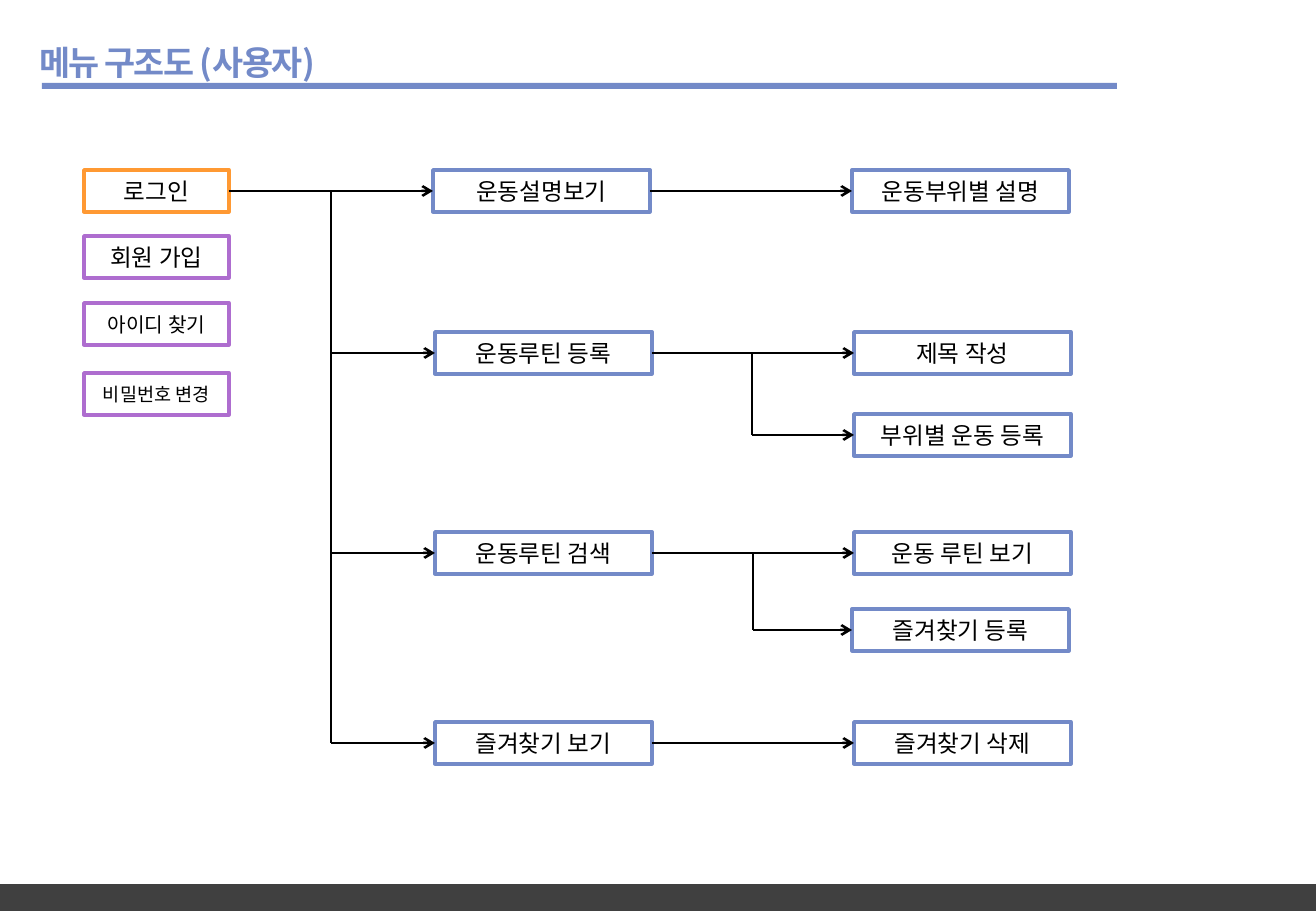
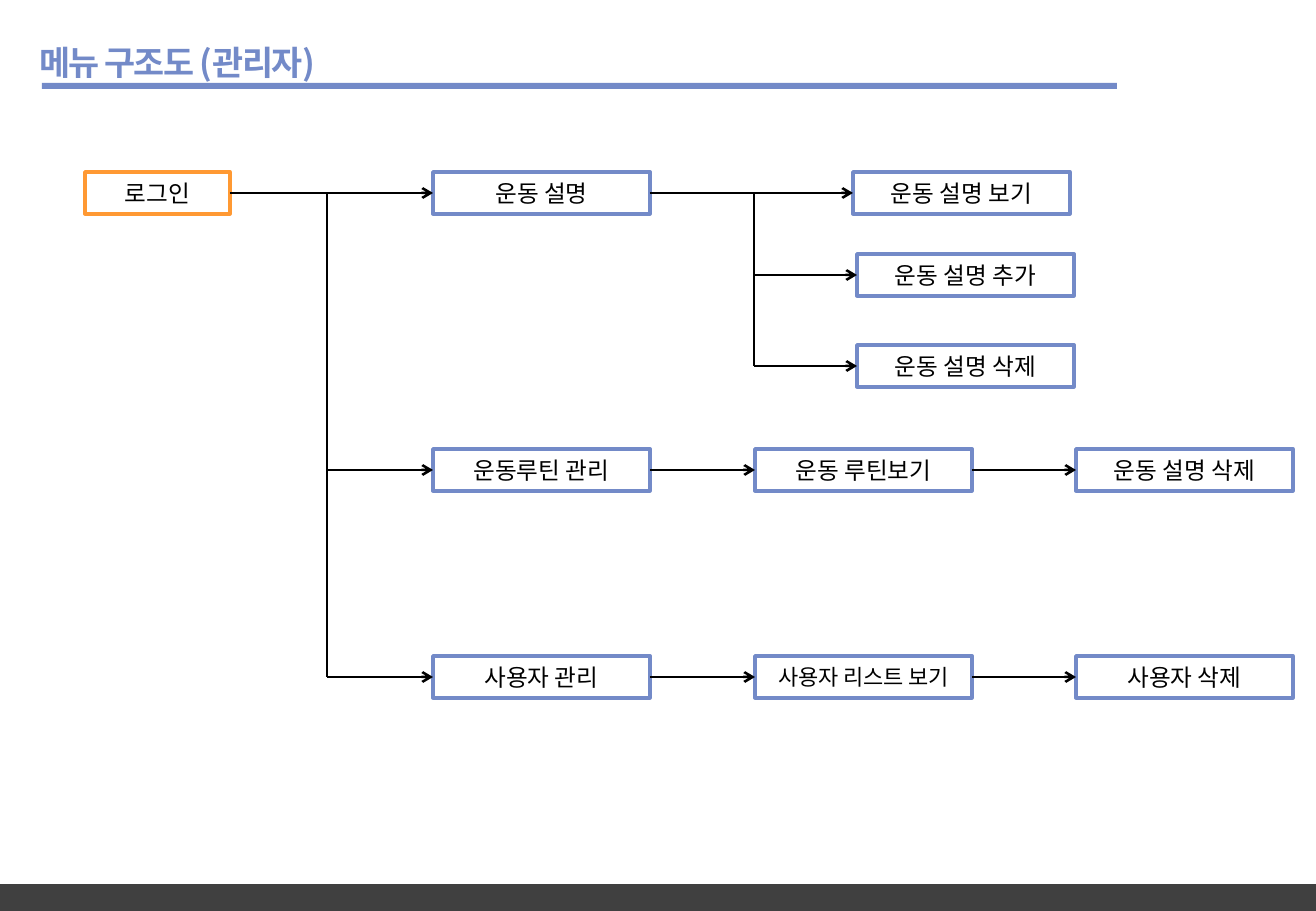
from pptx import Presentation
from pptx import util as u
from pptx.dml.color import RGBColor
from pptx.enum import shapes, text
from pptx.oxml.ns import qn
from lxml import etree

PX = 7526  # EMU per px
FONT = "Noto Sans CJK KR"
BLUE = RGBColor(0x73, 0x8A, 0xC8)
ORANGE = RGBColor(0xFF, 0x99, 0x33)
PURPLE = RGBColor(0xAE, 0x6D, 0xCF)
DARK = RGBColor(0x40, 0x40, 0x40)
BLACK = RGBColor(0, 0, 0)

# Box styles: line colour, width
LOGIN, ACCOUNT, MENU = (ORANGE, 145), (PURPLE, 145), (BLUE, 217)
BOX_H = 42
MID = BOX_H // 2

# Each row: top, x of the trunk feeding it, boxes (x, text, size, style)
# Each trunk: x, top of its first row, top of its last row
SLIDES = [
    ("메뉴 구조도 (사용자)", [
        (170, None, [(84, "로그인", 14, LOGIN), (433, "운동설명보기", 14, MENU),
                     (852, "운동부위별 설명", 14, MENU)]),
        (236, None, [(84, "회원 가입", 14, ACCOUNT)]),
        (303, None, [(84, "아이디 찾기", 12, ACCOUNT)]),
        (373, None, [(84, "비밀번호 변경", 11, ACCOUNT)]),
        (332, 331, [(435, "운동루틴 등록", 14, MENU), (854, "제목 작성", 14, MENU)]),
        (414, 752, [(854, "부위별 운동 등록", 14, MENU)]),
        (532, 331, [(435, "운동루틴 검색", 14, MENU), (854, "운동 루틴 보기", 14, MENU)]),
        (609, 753, [(852, "즐겨찾기 등록", 14, MENU)]),
        (722, 331, [(435, "즐겨찾기 보기", 14, MENU), (854, "즐겨찾기 삭제", 14, MENU)]),
    ], [(331, 170, 722), (752, 332, 414), (753, 532, 609)]),
    ("메뉴 구조도 (관리자)", [
        (172, None, [(85, "로그인", 14, LOGIN), (433, "운동 설명", 14, MENU),
                     (853, "운동 설명 보기", 14, MENU)]),
        (254, 754, [(857, "운동 설명 추가", 14, MENU)]),
        (345, 754, [(857, "운동 설명 삭제", 14, MENU)]),
        (449, 327, [(433, "운동루틴 관리", 14, MENU), (755, "운동 루틴보기", 14, MENU),
                    (1076, "운동 설명 삭제", 14, MENU)]),
        (656, 327, [(433, "사용자 관리", 14, MENU), (755, "사용자 리스트 보기", 13, MENU),
                    (1076, "사용자 삭제", 14, MENU)]),
    ], [(327, 172, 656), (754, 172, 345)]),
]


def add_rect(s, x, y, w, h, fill=None, line=None):
    sp = s.shapes.add_shape(shapes.MSO_SHAPE.RECTANGLE, x * PX, y * PX, w * PX, h * PX)
    sp.shadow.inherit = False
    if fill is None:
        sp.fill.background()
    else:
        sp.fill.solid()
        sp.fill.fore_color.rgb = fill
    if line is None:
        sp.line.fill.background()
    else:
        sp.line.color.rgb = line
        sp.line.width = u.Pt(2)
    return sp


def add_line(s, x1, y1, x2, y2, arrow=True):
    c = s.shapes.add_connector(shapes.MSO_CONNECTOR.STRAIGHT,
                               x1 * PX, y1 * PX, x2 * PX, y2 * PX)
    c.line.color.rgb = BLACK
    c.line.width = u.Pt(1.5)
    if arrow:
        etree.SubElement(c.line._get_or_add_ln(), qn("a:tailEnd"), type="arrow")
    etree.SubElement(c._element.spPr, qn("a:effectLst"))
    return c


prs = Presentation()
prs.slide_width, prs.slide_height = 1316 * PX, 911 * PX

for title, rows, trunks in SLIDES:
    s = prs.slides.add_slide(prs.slide_layouts[5])

    # Footer band, title and rule
    add_rect(s, -4, 884, 1325, 28, fill=DARK)
    sp = s.shapes.title
    sp.left, sp.top, sp.width, sp.height = 27 * PX, 16 * PX, 654 * PX, 72 * PX
    tf = sp.text_frame
    tf.word_wrap = False
    tf.auto_size = text.MSO_AUTO_SIZE.NONE
    tf.vertical_anchor = text.MSO_ANCHOR.MIDDLE
    p = tf.paragraphs[0]
    p.alignment = text.PP_ALIGN.LEFT
    p.line_spacing = 1.5
    r = p.add_run()
    r.text = title
    r.font.size, r.font.bold, r.font.name = u.Pt(20), True, FONT
    r.font.color.rgb = BLUE
    rPr = r.font._element
    rPr.set("spc", "-100")
    etree.SubElement(rPr, qn("a:ea"), typeface=FONT)
    add_rect(s, 42, 83, 1075, 6, fill=BLUE)

    # Trunks
    for x, first, last in trunks:
        add_line(s, x, first + MID, x, last + MID, arrow=False)

    # Boxes, each joined to the one before it or to its trunk
    for y, trunk_x, boxes in rows:
        prev = None
        for x, label, size, (colour, width) in boxes:
            box = add_rect(s, x, y, width, BOX_H, line=colour)
            tf = box.text_frame
            tf.word_wrap = True
            tf.vertical_anchor = text.MSO_ANCHOR.MIDDLE
            p = tf.paragraphs[0]
            p.alignment = text.PP_ALIGN.CENTER
            r = p.add_run()
            r.text = label
            r.font.size, r.font.name = u.Pt(size), FONT
            r.font.color.rgb = BLACK
            etree.SubElement(r.font._element, qn("a:ea"), typeface=FONT)
            if prev is not None or trunk_x is not None:
                c = add_line(s, trunk_x or x, y + MID, x, y + MID)
                if prev is not None:
                    c.begin_connect(prev, 3)
                c.end_connect(box, 1)
            prev = box

prs.save("out.pptx")
